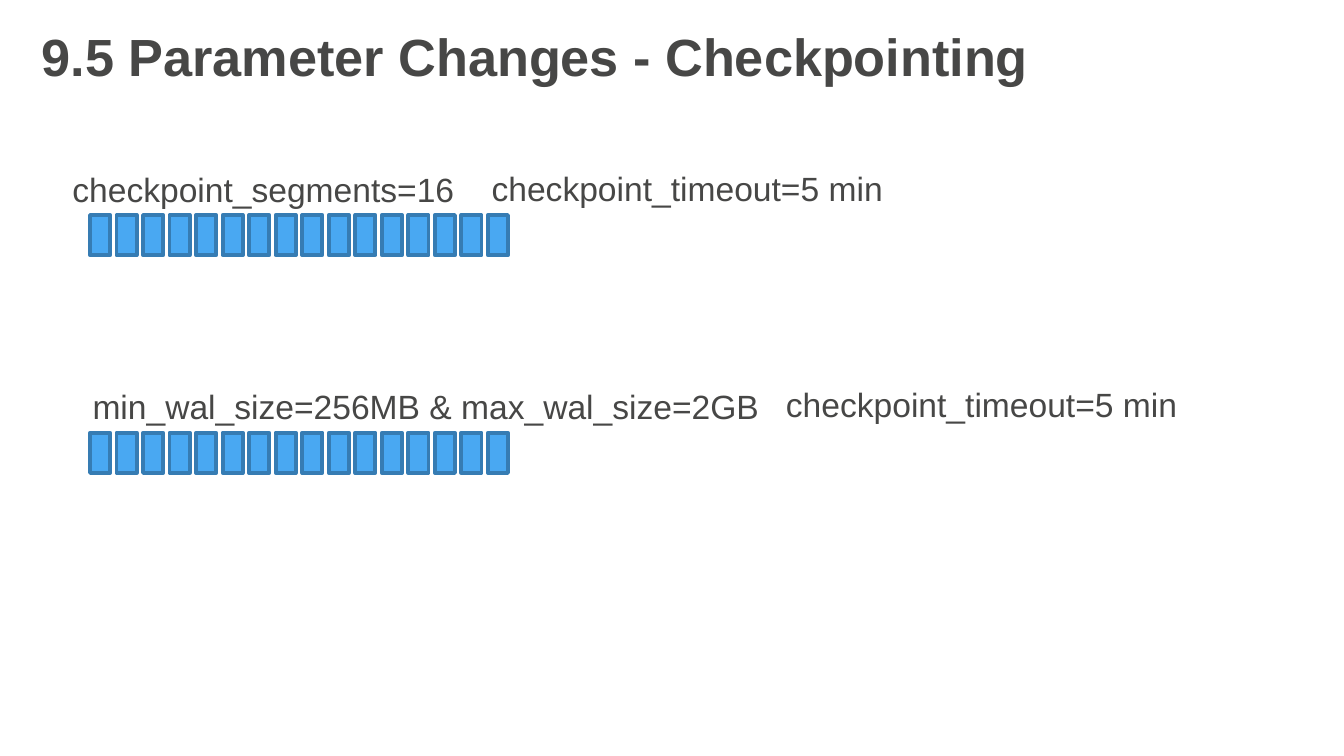
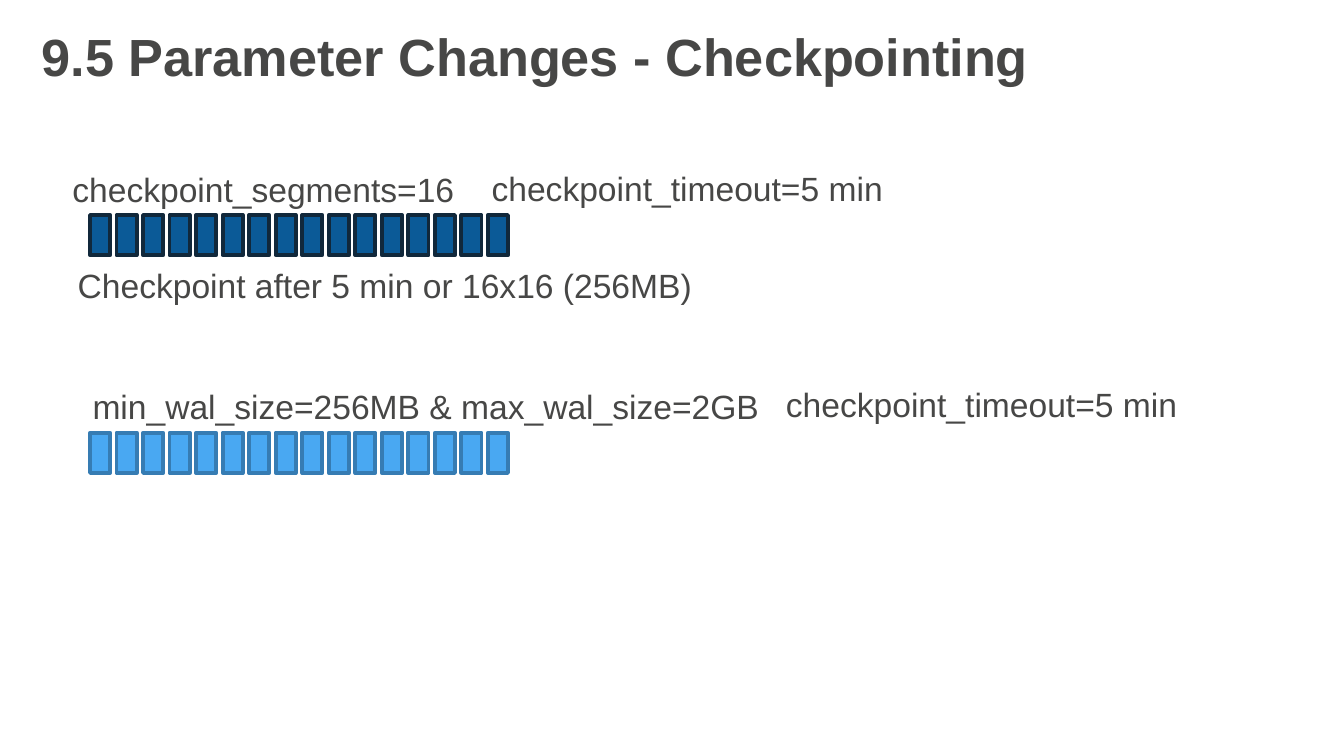
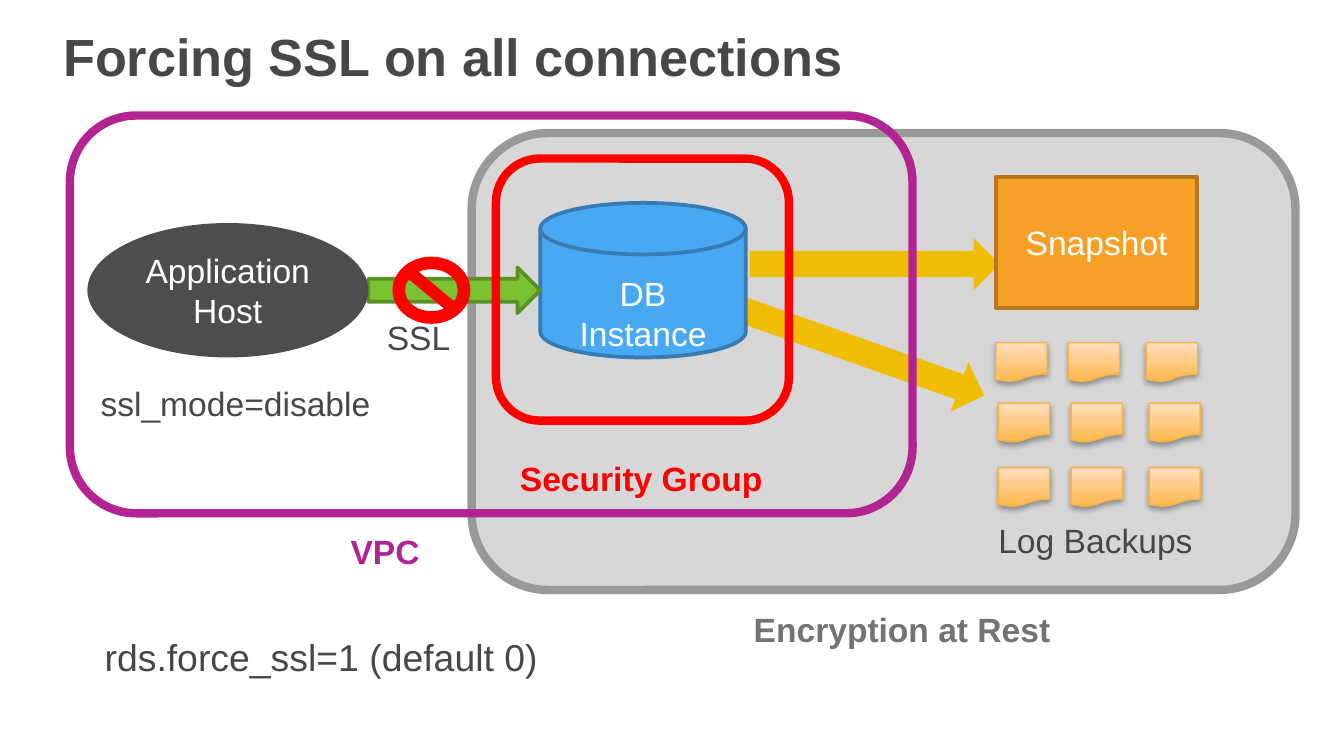
"""Build three slides on checkpoint parameters and forced SSL."""
from dataclasses import dataclass

from lxml.etree import SubElement
from pptx import Presentation
from pptx.dml.color import RGBColor
from pptx.enum.shapes import MSO_SHAPE as Preset
from pptx.enum.text import MSO_ANCHOR as Anchor, MSO_AUTO_SIZE as AutoSize, PP_ALIGN as Align
from pptx.oxml.ns import qn
from pptx.util import Inches, Pt


@dataclass(frozen=True)
class Theme:
    font: str = "Arial"
    title_size: int = 28
    note_size: int = 20
    text_size: int = 18
    thin: float = 0.75
    outline: float = 2
    frame: float = 4.5
    text: str = "474746"
    white: str = "FFFFFF"
    blue: str = "49A8F2"
    blue_edge: str = "367CB3"
    navy: str = "0B5A97"
    navy_edge: str = "11283B"
    rest_fill: str = "D6D7D6"
    rest_edge: str = "999A98"
    rest_text: str = "737472"
    yellow: str = "EFBD03"
    green: str = "7BC233"
    green_edge: str = "5B9026"
    orange: str = "F7A028"
    orange_edge: str = "B7761E"
    host: str = "4C4D4C"
    red: str = "FF0000"
    purple: str = "B22491"
    log_dark: str = "FFB749"
    log_light: str = "FFDEC0"
    log_edge: str = "FBB346"
    shadow: str = "000000"


THEME = Theme()
SLIDE_WIDTH = Inches(10)
SLIDE_HEIGHT = SLIDE_WIDTH * 9 // 16
SEGMENT_COUNT = 16
SEGMENT_LEFT = 0.67
SEGMENT_SPAN = 2.96
LOG_ROWS = ((7.41, 2.55), (7.43, 3), (7.43, 3.48))
LOG_OFFSETS = (0, 0.54, 1.12)


def rgb(color):
    return RGBColor.from_string(color)


def write_text(frame, text, size=THEME.text_size, color=THEME.text, bold=False,
               align=Align.LEFT, anchor=Anchor.TOP, wrap=True, grow=False):
    frame.word_wrap = wrap
    frame.vertical_anchor = anchor
    frame.auto_size = AutoSize.SHAPE_TO_FIT_TEXT if grow else AutoSize.NONE
    frame.text = text
    for paragraph in frame.paragraphs:
        paragraph.alignment = align
        for run in paragraph.runs:
            run.font.name = THEME.font
            run.font.size = Pt(size)
            run.font.bold = bold
            run.font.color.rgb = rgb(color)


class Deck:
    def __init__(self, theme):
        self.theme = theme
        self.presentation = Presentation()
        self.presentation.slide_width = SLIDE_WIDTH
        self.presentation.slide_height = SLIDE_HEIGHT
        self.slide = None

    def add_slide(self, title, left):
        layout = self.presentation.slide_layouts.get_by_name("Title Only")
        self.slide = self.presentation.slides.add_slide(layout)
        shape = self.slide.shapes.title
        shape.left, shape.top = Inches(left), Inches(0.13)
        shape.width, shape.height = Inches(8.97), Inches(0.6)
        write_text(shape.text_frame, title, size=self.theme.title_size, bold=True)

    def label(self, text, left, top, width, height=0.4, grow=True, **style):
        box = self.slide.shapes.add_textbox(
            Inches(left), Inches(top), Inches(width), Inches(height))
        write_text(box.text_frame, text, grow=grow, **style)

    def shape(self, preset, left, top, width, height, fill=None, edge=None,
              weight=THEME.outline, text=None, rotation=0):
        shape = self.slide.shapes.add_shape(
            preset, Inches(left), Inches(top), Inches(width), Inches(height))
        shape.shadow.inherit = False
        shape.rotation = rotation
        if fill:
            shape.fill.solid()
            shape.fill.fore_color.rgb = rgb(fill)
        else:
            shape.fill.background()
        if edge:
            shape.line.color.rgb = rgb(edge)
            shape.line.width = Pt(weight)
        else:
            shape.line.fill.background()
        if text:
            write_text(shape.text_frame, text, color=self.theme.white,
                       align=Align.CENTER, anchor=Anchor.MIDDLE)
        return shape

    def segments(self, top, fill, edge):
        pitch = SEGMENT_SPAN / (SEGMENT_COUNT - 1)
        for index in range(SEGMENT_COUNT):
            self.shape(Preset.RECTANGLE, SEGMENT_LEFT + index * pitch, top,
                       0.15, 0.3, fill, edge)

    def log_file(self, left, top):
        shape = self.shape(Preset.FLOWCHART_DOCUMENT, left, top, 0.38, 0.29,
                           edge=self.theme.log_edge, weight=self.theme.thin)
        shape.fill.gradient()
        shape.fill.gradient_angle = 90
        colors = (self.theme.log_dark, self.theme.log_light)
        for stop, color in zip(shape.fill.gradient_stops, colors):
            stop.color.rgb = rgb(color)
        effects = shape._element.spPr.find(qn("a:effectLst"))
        shadow = SubElement(effects, qn("a:outerShdw"), blurRad=str(Pt(3.1)),
                            dist=str(Pt(1.8)), dir="5400000", rotWithShape="0")
        color = SubElement(shadow, qn("a:srgbClr"), val=self.theme.shadow)
        SubElement(color, qn("a:alpha"), val="35000")


def add_checkpoint_slide(deck, fill, edge, result=None):
    theme = deck.theme
    deck.add_slide("9.5 Parameter Changes - Checkpointing", 0.21)
    deck.segments(1.6, fill, edge)
    deck.label("checkpoint_segments=16", 0.44, 1.21, 3.12)
    deck.label("checkpoint_timeout=5 min", 3.56, 1.2, 3.26)
    if result:
        deck.label(result, 0.48, 1.92, 5.03)
    deck.segments(3.22, theme.blue, theme.blue_edge)
    deck.label("min_wal_size=256MB & max_wal_size=2GB", 0.59, 2.82, 5.41)
    deck.label("checkpoint_timeout=5 min", 5.75, 2.81, 3.26)


def add_ssl_slide(deck):
    theme = deck.theme
    deck.add_slide("Forcing SSL on all connections", 0.37)
    deck.shape(Preset.ROUNDED_RECTANGLE, 3.51, 0.99, 6.13, 3.4,
               theme.rest_fill, theme.rest_edge, theme.frame)
    deck.shape(Preset.RIGHT_ARROW, 5.58, 1.77, 1.86, 0.39, theme.yellow)
    deck.shape(Preset.RIGHT_ARROW, 5.41, 2.42, 1.97, 0.39, theme.yellow, rotation=19.5)
    database = deck.shape(Preset.FLOWCHART_MAGNETIC_DISK, 4.02, 1.51, 1.53, 1.15,
                          theme.blue, theme.blue_edge, text="DB Instance")
    database.text_frame.margin_top = Inches(0.35)
    deck.shape(Preset.RIGHT_ARROW, 2.74, 1.99, 1.28, 0.34, theme.green, theme.green_edge)
    deck.shape(Preset.RECTANGLE, 7.41, 1.32, 1.5, 0.97,
               theme.orange, theme.orange_edge, text="Snapshot")
    deck.shape(Preset.OVAL, 0.65, 1.66, 2.09, 1, theme.host, text="Application\nHost")
    deck.label("SSL", 2.78, 2.31, 0.68, wrap=False)
    for left, top in LOG_ROWS:
        for offset in LOG_OFFSETS:
            deck.log_file(left + offset, top)
    deck.label("Log Backups", 7.33, 3.82, 1.66, wrap=False)
    deck.shape(Preset.ROUNDED_RECTANGLE, 3.69, 1.18, 2.18, 1.95,
               edge=theme.red, weight=theme.frame)
    deck.label("Security Group", 3.77, 3.36, 2.03, color=theme.red, bold=True, wrap=False)
    deck.shape(Preset.ROUNDED_RECTANGLE, 0.52, 0.86, 6.27, 2.96,
               edge=theme.purple, weight=theme.frame)
    deck.label("VPC", 2.51, 3.9, 0.72, color=theme.purple, bold=True, wrap=False)
    deck.label("Encryption at Rest", 5.51, 4.48, 2.43,
               color=theme.rest_text, bold=True, wrap=False)
    deck.label("ssl_mode=disable", 0.65, 2.8, 2.23, wrap=False)
    deck.label("rds.force_ssl=1 (default 0)", 0.68, 4.67, 3.45, 0.77,
               grow=False, size=theme.note_size, wrap=False)
    deck.shape(Preset.NO_SYMBOL, 2.92, 1.91, 0.58, 0.5, theme.red)


def main():
    deck = Deck(THEME)
    add_checkpoint_slide(deck, THEME.blue, THEME.blue_edge)
    add_checkpoint_slide(deck, THEME.navy, THEME.navy_edge,
                         "Checkpoint after 5 min or 16x16 (256MB)")
    add_ssl_slide(deck)
    deck.presentation.save("out.pptx")


if __name__ == "__main__":
    main()
